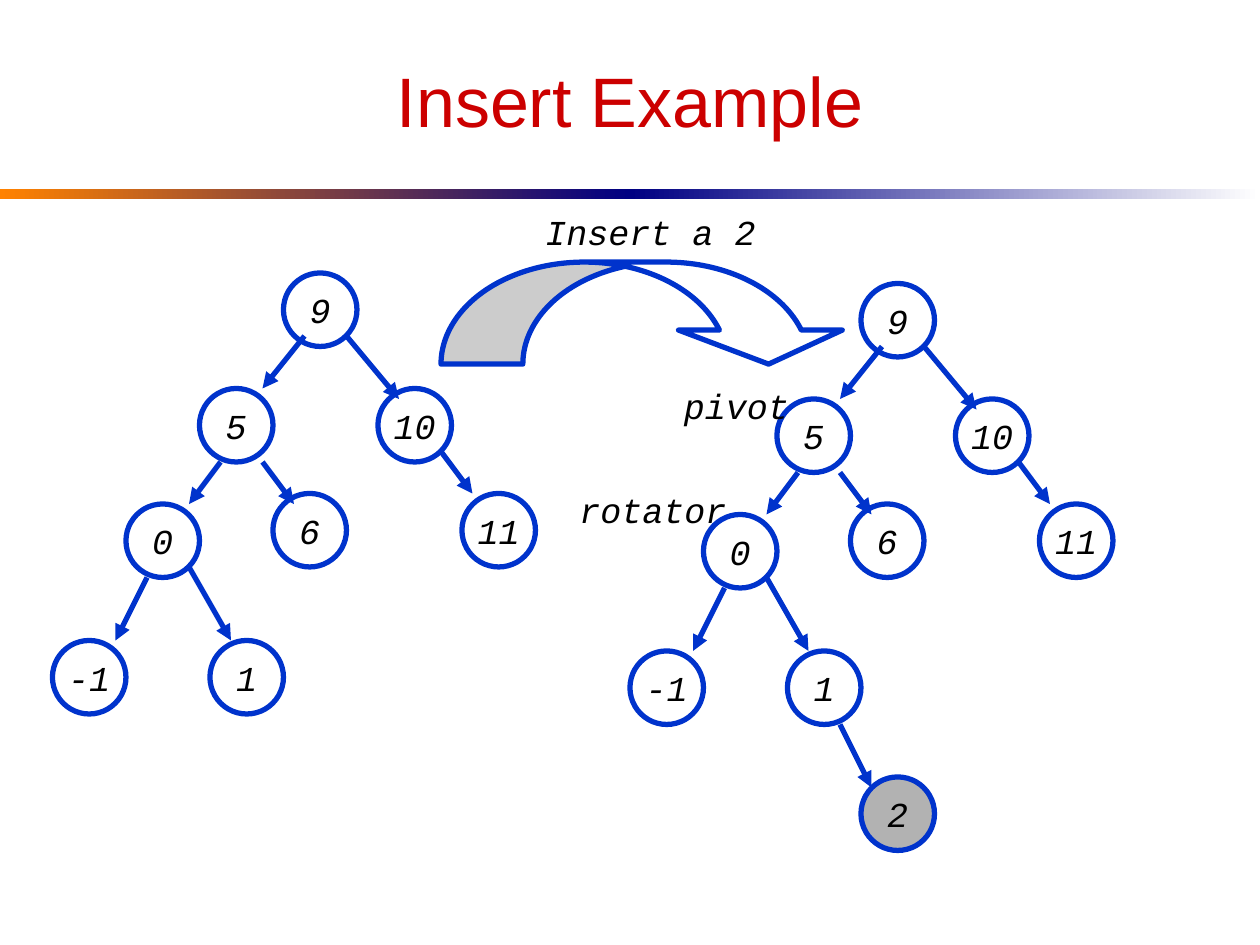
from lxml.etree import SubElement
from pptx import Presentation
from pptx.dml.color import RGBColor
from pptx.enum.shapes import MSO_CONNECTOR as Link, MSO_SHAPE as Preset
from pptx.enum.text import MSO_ANCHOR as Anchor, MSO_AUTO_SIZE as AutoSize, PP_ALIGN as Align
from pptx.oxml.ns import qn
from pptx.util import Inches, Pt

COLORS = {
    "title": "CC0000", "text": "000000", "outline": "0033CC", "node": "FFFFFF",
    "inserted": "B2B2B2", "orange": "FF8200", "navy": "000082", "white": "FFFFFF",
}
GRID = 1 / 12
NODE_SIZE = 7 * GRID
BASE_NODES = [("9", 22, 0), ("5", 14, 11), ("10", 31, 11), ("11", 39, 21),
              ("6", 21, 21), ("-1", 0, 35), ("0", 7, 22), ("1", 15, 35)]
BASE_EDGES = [(24, 6, 20, 11), (28, 6, 33, 12), (37, 17, 40, 21), (16, 18, 13, 22),
              (20, 18, 23, 22), (9, 29, 6, 35), (13, 28, 17, 35)]


def rgb(name):
    """Return the named colour."""
    return RGBColor.from_string(COLORS[name])


def write(frame, words, align=Align.LEFT, font="Courier New", size=20, color="text", italic=True):
    """Write one run of styled text into a text frame."""
    paragraph = frame.paragraphs[0]
    paragraph.alignment = align
    run = paragraph.add_run()
    run.text = words
    run.font.name = font
    run.font.size = Pt(size)
    run.font.italic = italic
    run.font.color.rgb = rgb(color)


def add_outlined(slide, preset, box, fill):
    """Add a filled preset shape with the blue outline."""
    shape = slide.shapes.add_shape(preset, *map(Inches, box))
    shape.shadow.inherit = False
    shape.fill.solid()
    shape.fill.fore_color.rgb = rgb(fill)
    shape.line.color.rgb = rgb("outline")
    shape.line.width = Pt(3)
    return shape


def add_header(slide, box):
    """Place the title and the two-part gradient rule below it."""
    left, top, width, height = box
    title = slide.shapes.add_textbox(
        Inches(left + 0.5), Inches(top), Inches(width - 1), Inches(1.08)).text_frame
    title.word_wrap = True
    title.vertical_anchor = Anchor.MIDDLE
    write(title, "Insert Example", Align.CENTER, "Arial", 40, "title", False)
    half = width / 2
    for index, ends in enumerate([("orange", "navy"), ("navy", "white")]):
        rule = slide.shapes.add_shape(
            Preset.RECTANGLE, Inches(left + index * half), Inches(top + height - 0.08),
            Inches(half), Inches(0.08))
        rule.shadow.inherit = False
        rule.line.fill.background()
        rule.fill.gradient()
        rule.fill.gradient_angle = 0
        for stop, color in zip(rule.fill.gradient_stops, ends):
            stop.color.rgb = rgb(color)


def add_node(slide, left, top, key, fill):
    """Place one circular tree node with its key."""
    node = add_outlined(slide, Preset.OVAL, (left, top, NODE_SIZE, NODE_SIZE), fill)
    node.text_frame.word_wrap = False
    node.text_frame.vertical_anchor = Anchor.MIDDLE
    write(node.text_frame, key, Align.CENTER)


def add_edge(slide, ends):
    """Draw one arrow from parent to child."""
    edge = slide.shapes.add_connector(Link.STRAIGHT, *map(Inches, ends))
    edge.line.color.rgb = rgb("outline")
    edge.line.width = Pt(3)
    SubElement(edge.line._get_or_add_ln(), qn("a:tailEnd"), type="triangle")
    SubElement(edge._element.spPr, qn("a:effectLst"))


def add_tree(slide, left, top, nodes, edges, fill="node"):
    """Place nodes and edges on a grid that starts at the given corner."""
    for key, column, row in nodes:
        add_node(slide, left + column * GRID, top + row * GRID, key, fill)
    for x1, y1, x2, y2 in edges:
        add_edge(slide, (left + x1 * GRID, top + y1 * GRID,
                         left + x2 * GRID, top + y2 * GRID))


def add_label(slide, box, words):
    """Place one single-line caption that grows with its text."""
    label = slide.shapes.add_textbox(*map(Inches, box)).text_frame
    label.word_wrap = False
    label.auto_size = AutoSize.SHAPE_TO_FIT_TEXT
    write(label, words)


def add_insert_step(slide, box):
    """Place the curved arrow that leads from one tree to the next."""
    left, top, width, height = box
    arrow = add_outlined(slide, Preset.CURVED_DOWN_ARROW, box, "node")
    arrow.adjustments[0] = width / 5 / height
    arrow.adjustments[1] = width * 2 / 5 / height
    arrow.adjustments[2] = 1 / 3
    add_label(slide, (left + 0.73, top - 0.46, 1.87, 0.44), "Insert a 2")


def main():
    """Build the slide and save it."""
    deck = Presentation()
    deck.slide_width, deck.slide_height = Inches(10), Inches(7.5)
    slide = deck.slides.add_slide(deck.slide_layouts[6])
    add_header(slide, (0, 0.25, 10, 1.33))
    add_tree(slide, 5 * GRID, 26 * GRID, BASE_NODES, BASE_EDGES)
    add_tree(slide, 5, 2.25, BASE_NODES, BASE_EDGES)
    add_tree(slide, 5, 2.25, [("2", 22, 47)], [(20, 42, 23, 48)], "inserted")
    add_label(slide, (4.5, 3.83, 1.37, 0.44), "rotator")
    add_label(slide, (5.33, 3, 1.04, 0.44), "pivot")
    add_insert_step(slide, (3.5, 2.08, 3.25, 0.81))
    deck.save("out.pptx")


if __name__ == "__main__":
    main()
